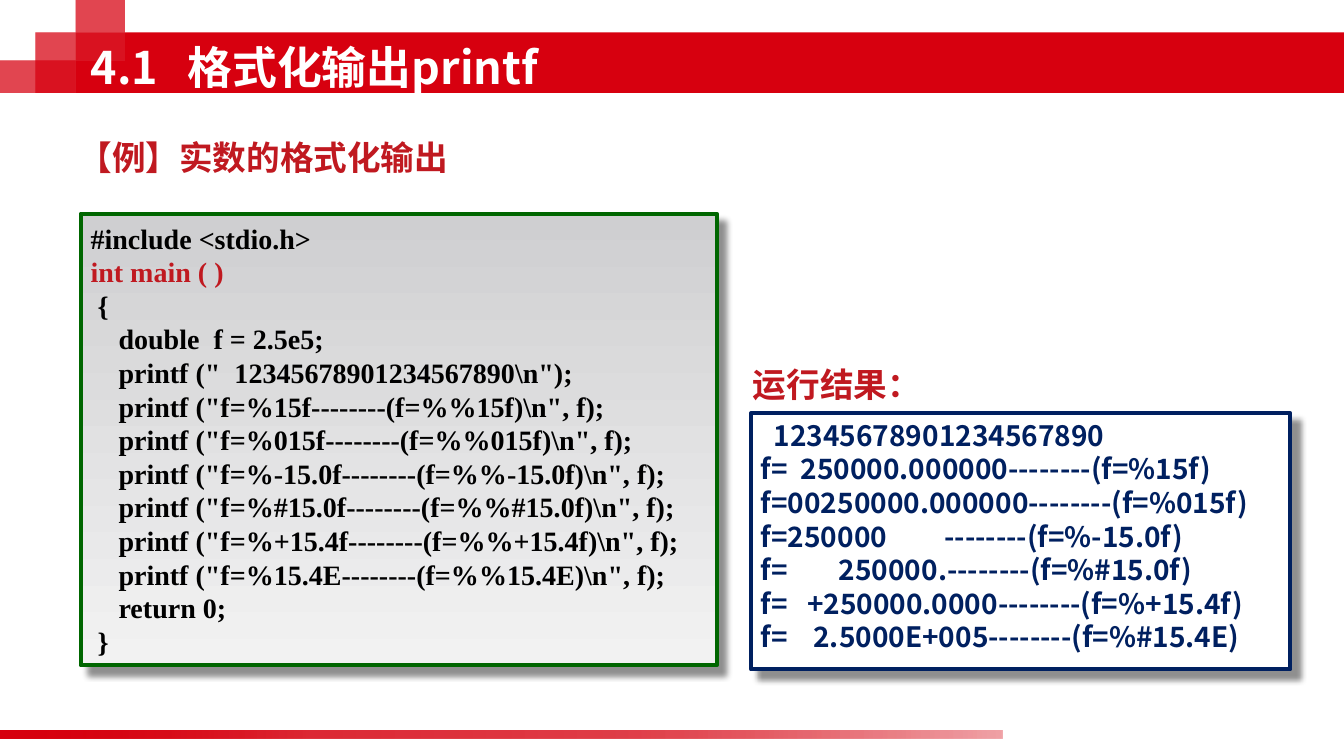
from dataclasses import dataclass
from typing import Any, Optional

import lxml.etree
import pptx
import pptx.dml.color
import pptx.enum.shapes
import pptx.enum.text
import pptx.oxml.ns
import pptx.util


@dataclass(frozen=True)
class Theme:
    red: str = "D7000F"
    crimson: str = "C01920"
    navy: str = "002060"
    green: str = "006600"
    black: str = "000000"
    white: str = "FFFFFF"
    silver: str = "CFCFD1"
    pale: str = "F2F2F2"
    sans: str = "Noto Sans CJK SC"
    serif: str = "Times New Roman"
    title: int = 32
    heading: int = 24
    body: int = 20
    leading: float = 1.2
    border: int = 3
    veil: int = 48


@dataclass(frozen=True)
class Area:
    left: float
    top: float
    width: float
    height: float


@dataclass(frozen=True)
class Block:
    area: Area
    fill: str
    alpha: int = 100


@dataclass(frozen=True)
class Caption:
    area: Area
    text: str
    font: str


@dataclass(frozen=True)
class Panel:
    area: Area
    lines: list[str]
    font: str
    color: str
    border: str
    anchor: Any
    stops: list[tuple[int, str, int]]
    accent: Optional[int] = None


THEME = Theme()
ANCHOR = pptx.enum.text.MSO_ANCHOR
RECTANGLE = pptx.enum.shapes.MSO_SHAPE.RECTANGLE
WIDTH = pptx.util.Inches(13.33)
HEIGHT = pptx.util.Inches(7.5)

BAND_TOP, BAND_MIDDLE, BAND_BOTTOM = 4.3, 8, 12.3
STEP_ONE, STEP_TWO, BAND_LEFT = 2.63, 5.63, 9.3
STEP_WIDTH = BAND_LEFT - STEP_TWO

VEILS = [
    Area(0, BAND_MIDDLE, BAND_LEFT, BAND_BOTTOM - BAND_MIDDLE),
    Area(STEP_ONE, BAND_TOP, STEP_TWO - STEP_ONE, BAND_BOTTOM - BAND_TOP),
    Area(STEP_TWO, 0, STEP_WIDTH, BAND_MIDDLE),
    Area(STEP_TWO, BAND_TOP, STEP_WIDTH, BAND_MIDDLE - BAND_TOP),
]
SOLIDS = [
    Area(BAND_LEFT, BAND_TOP, 100 - BAND_LEFT, BAND_BOTTOM - BAND_TOP),
    Area(STEP_TWO, BAND_MIDDLE, STEP_WIDTH, BAND_BOTTOM - BAND_MIDDLE),
]
BLOCKS = [Block(area, THEME.red, THEME.veil) for area in VEILS * 2]
BLOCKS += [Block(area, THEME.red) for area in SOLIDS]

FOOTER = Area(0, 96.6, 74.6, 1.1)
FOOTER_STOPS = [(position, THEME.red, alpha) for position, alpha in ((0, 100), (31, 60), (64, 50), (100, 20))]
TITLE_AREA = Area(6, 4.4, 66.75, 8.93)

CAPTIONS = [
    Caption(Area(5.1, 17.47, 38.63, 6.67), "【例】实数的格式化输出", THEME.sans),
    Caption(Area(55.28, 47.47, 14.18, 6.67), "运行结果：", THEME.serif),
]

FORMATS = ["15f", "015f", "-15.0f", "#15.0f", "+15.4f", "15.4E"]
CODE = [
    "#include <stdio.h>",
    "int main ( )",
    " {",
    "    double  f = 2.5e5;",
    '    printf ("  12345678901234567890\\n");',
    *(f'    printf ("f=%{form}--------(f=%%{form})\\n", f);' for form in FORMATS),
    "    return 0;",
    " }",
]
OUTPUT = [
    "  12345678901234567890",
    "f=  250000.000000--------(f=%15f)",
    "f=00250000.000000--------(f=%015f)",
    "f=250000         --------(f=%-15.0f)",
    "f=        250000.--------(f=%#15.0f)",
    "f=   +250000.0000--------(f=%+15.4f)",
    "f=    2.5000E+005--------(f=%#15.4E)",
]
PANELS = [
    Panel(Area(6, 28.27, 47.33, 59.73), CODE, THEME.serif, THEME.black, THEME.green,
          ANCHOR.MIDDLE, [(0, THEME.silver, 100), (100, THEME.pale, 100)], accent=1),
    Panel(Area(55.88, 54.67, 40.13, 33.87), OUTPUT, THEME.sans, THEME.navy, THEME.navy,
          ANCHOR.TOP, []),
]


def rgb(color: str) -> Any:
    return pptx.dml.color.RGBColor.from_string(color)


def child(parent: Any, tag: str, **attributes: Any) -> Any:
    values = {name: str(value) for name, value in attributes.items()}
    return lxml.etree.SubElement(parent, pptx.oxml.ns.qn(tag), values)


def apply(target: Any, values: dict[str, Any]) -> None:
    for name, value in values.items():
        setattr(target, name, value)


def bounds(area: Area) -> dict[str, int]:
    return {
        "left": round(WIDTH * area.left / 100),
        "top": round(HEIGHT * area.top / 100),
        "width": round(WIDTH * area.width / 100),
        "height": round(HEIGHT * area.height / 100),
    }


def write(paragraph: Any, text: str, font: str, size: int, color: str) -> None:
    apply(paragraph, {
        "alignment": pptx.enum.text.PP_ALIGN.LEFT,
        "line_spacing": pptx.util.Pt(size * THEME.leading),
    })
    run = paragraph.add_run()
    run.text = text
    apply(run.font, {"name": font, "size": pptx.util.Pt(size), "bold": True})
    run.font.color.rgb = rgb(color)
    child(run.font._element, "a:ea", typeface=THEME.sans)


def add_block(slide: Any, block: Block) -> Any:
    shape = slide.shapes.add_shape(RECTANGLE, **bounds(block.area))
    shape.shadow.inherit = False
    shape.fill.solid()
    shape.fill.fore_color.rgb = rgb(block.fill)
    shape.line.fill.background()
    if block.alpha < 100:
        color = shape.element.spPr.find(".//" + pptx.oxml.ns.qn("a:srgbClr"))
        child(color, "a:alpha", val=block.alpha * 1000)
    return shape


def set_gradient(shape: Any, stops: list[tuple[int, str, int]], angle: int) -> None:
    properties = shape.element.spPr
    solid = properties.find(pptx.oxml.ns.qn("a:solidFill"))
    gradient = child(properties, "a:gradFill", rotWithShape=1)
    properties.replace(solid, gradient)
    stop_list = child(gradient, "a:gsLst")
    for position, color, alpha in stops:
        stop = child(stop_list, "a:gs", pos=position * 1000)
        child(child(stop, "a:srgbClr", val=color), "a:alpha", val=alpha * 1000)
    child(gradient, "a:lin", ang=angle * 60000, scaled=0)


def set_shadow(shape: Any) -> None:
    effects = shape.element.spPr.find(pptx.oxml.ns.qn("a:effectLst"))
    shadow = child(effects, "a:outerShdw", blurRad=pptx.util.Pt(4), dist=pptx.util.Pt(8.4),
                   dir=45 * 60000, algn="tl", rotWithShape=0)
    child(child(shadow, "a:srgbClr", val=THEME.black), "a:alpha", val=43000)


def add_caption(slide: Any, caption: Caption) -> None:
    frame = slide.shapes.add_textbox(**bounds(caption.area)).text_frame
    frame.word_wrap = True
    write(frame.paragraphs[0], caption.text, caption.font, THEME.heading, THEME.crimson)


def add_panel(slide: Any, panel: Panel) -> None:
    shape = add_block(slide, Block(panel.area, THEME.white))
    shape.line.color.rgb = rgb(panel.border)
    shape.line.width = pptx.util.Pt(THEME.border)
    if panel.stops:
        set_gradient(shape, panel.stops, 90)
    set_shadow(shape)
    frame = shape.text_frame
    apply(frame, {"word_wrap": True, "vertical_anchor": panel.anchor})
    for index, line in enumerate(panel.lines):
        paragraph = frame.add_paragraph() if index else frame.paragraphs[0]
        color = THEME.crimson if index == panel.accent else panel.color
        write(paragraph, line, panel.font, THEME.body, color)


def add_title(slide: Any) -> None:
    title = slide.shapes.title
    apply(title, bounds(TITLE_AREA))
    title.element.getparent().append(title.element)
    apply(title.text_frame, {"word_wrap": True, "vertical_anchor": ANCHOR.MIDDLE})
    paragraph = title.text_frame.paragraphs[0]
    write(paragraph, "4.1\t格式化输出printf", THEME.sans, THEME.title, THEME.white)
    tabs = child(paragraph._p.get_or_add_pPr(), "a:tabLst")
    child(tabs, "a:tab", pos=round(WIDTH * 7.2 / 100), algn="l")


def main() -> None:
    presentation = pptx.Presentation()
    apply(presentation, {"slide_width": WIDTH, "slide_height": HEIGHT})
    slide = presentation.slides.add_slide(presentation.slide_layouts[5])
    for block in BLOCKS:
        add_block(slide, block)
    for block in [Block(FOOTER, THEME.red)] * 2:
        set_gradient(add_block(slide, block), FOOTER_STOPS, 0)
    for caption in CAPTIONS:
        add_caption(slide, caption)
    for panel in PANELS:
        add_panel(slide, panel)
    add_title(slide)
    presentation.save("out.pptx")


if __name__ == "__main__":
    main()
